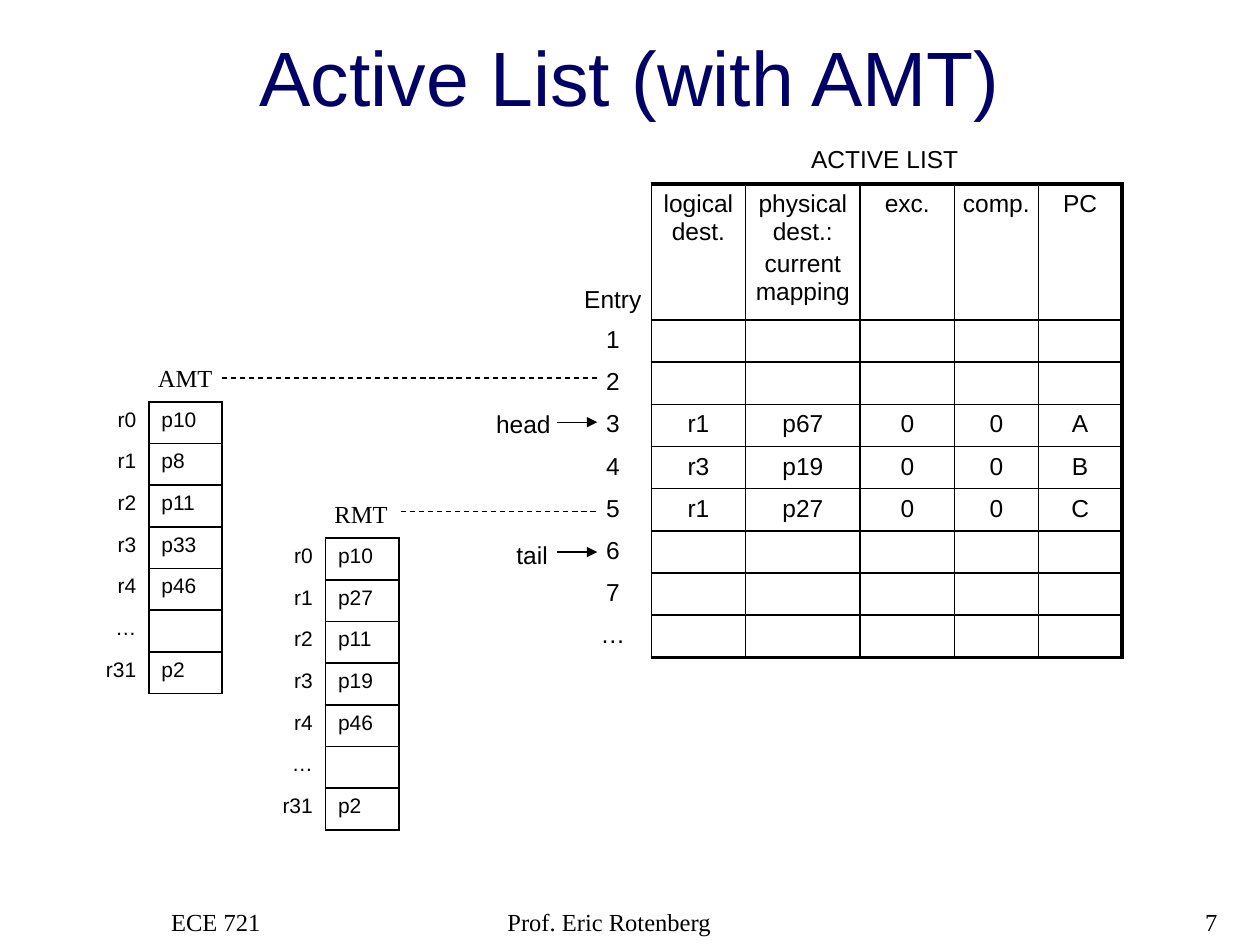
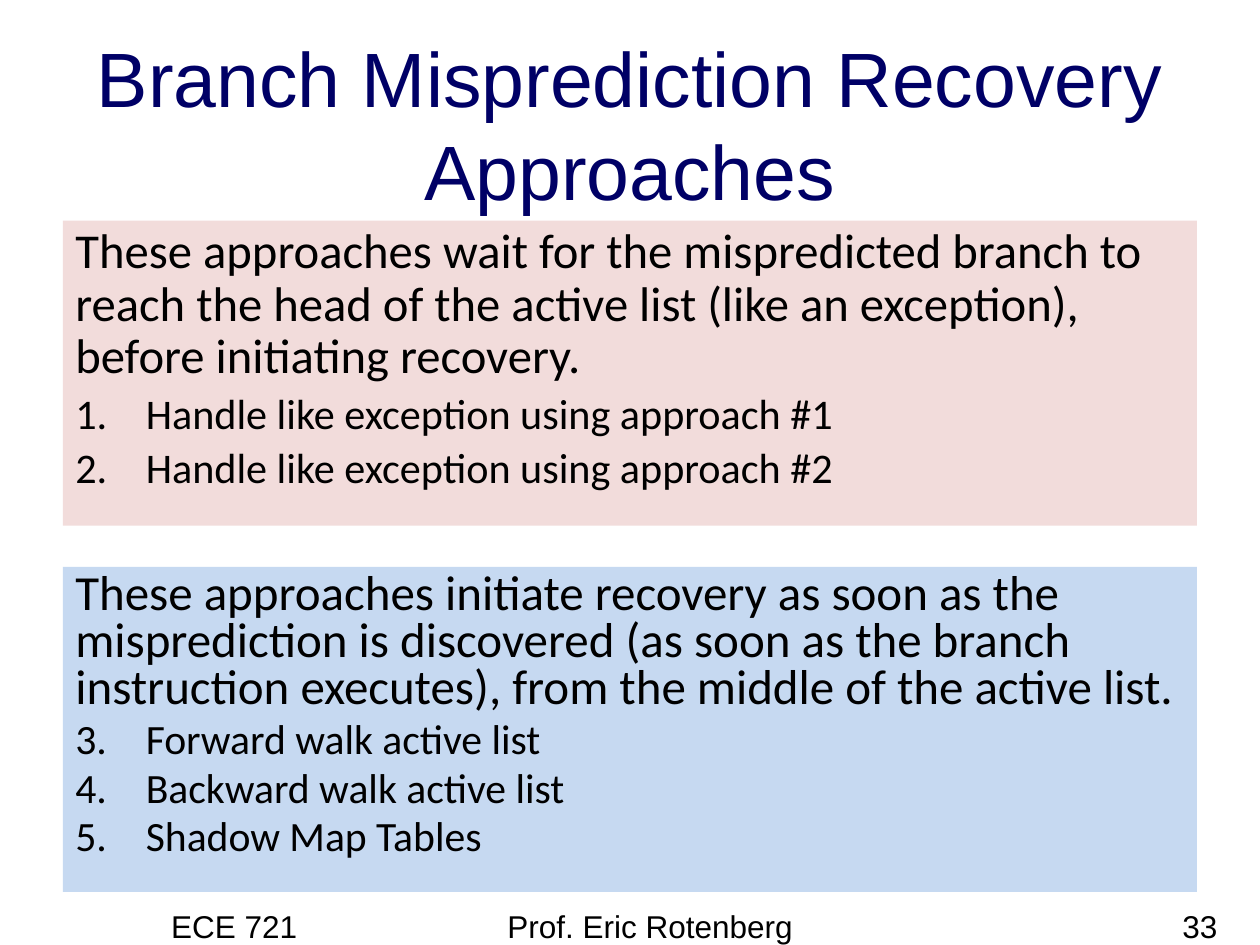
"""Build two lecture slides on active lists and branch misprediction recovery."""
from dataclasses import dataclass

from lxml import etree
from pptx import Presentation
from pptx import util as u
from pptx.dml import color
from pptx.enum import dml, shapes, text
from pptx.oxml import ns

Cm, Pt = u.Cm, u.Pt
Align, Anchor = text.PP_ALIGN, text.MSO_ANCHOR


@dataclass(frozen=True)
class Theme:
    """Colours, fonts and type sizes shared by the slides."""
    ink: str = "000000"
    title: str = "000066"
    late: str = "F2DCDB"
    early: str = "C6D9F1"
    sans: str = "Arial"
    serif: str = "Times New Roman"
    body: str = "Calibri"
    title_size: float = 44
    label_size: float = 14
    map_size: float = 12
    footer_size: float = 18
    thin: float = 1
    thick: float = 2.25
    connector: float = 0.75
    plain_table: str = "{2D5ABB26-0587-4C30-8999-92F81FD0307C}"


class Deck:
    """Hold the theme and current slide, and draw each kind of element."""

    def __init__(self, theme):
        """Start an empty presentation of the right size."""
        self.theme = theme
        self.presentation = Presentation()
        self.presentation.slide_width = Cm(25.4)
        self.presentation.slide_height = Cm(19.05)
        self.slide = None

    def style(self, paragraph, size, font, align=Align.LEFT, ink=None):
        """Set the alignment and font of a paragraph."""
        paragraph.alignment = align
        paragraph.font.size = Pt(size)
        paragraph.font.name = font
        paragraph.font.color.rgb = color.RGBColor.from_string(ink or self.theme.ink)

    def new_slide(self, title, title_height):
        """Add a slide and format its title."""
        layout = self.presentation.slide_layouts[5]
        self.slide = self.presentation.slides.add_slide(layout)
        shape = self.slide.shapes.title
        shape.left, shape.top = Cm(0), Cm(0.46)
        shape.width, shape.height = Cm(25.4), Cm(title_height)
        frame = shape.text_frame
        frame.text = title
        frame.auto_size = text.MSO_AUTO_SIZE.NONE
        frame.vertical_anchor = Anchor.BOTTOM
        self.style(frame.paragraphs[0], self.theme.title_size, self.theme.sans,
                   Align.CENTER, self.theme.title)

    def text_box(self, words, box, size, font, align=Align.LEFT, wrap=True):
        """Add one line of text in a box."""
        shape = self.slide.shapes.add_textbox(*map(Cm, box))
        frame = shape.text_frame
        frame.text = words
        frame.word_wrap = wrap
        if not wrap:
            frame.auto_size = text.MSO_AUTO_SIZE.SHAPE_TO_FIT_TEXT
        self.style(frame.paragraphs[0], size, font, align)

    def label(self, words, box, font=None, align=Align.LEFT):
        """Add a diagram label that does not wrap."""
        self.text_box(words, box, self.theme.label_size, font or self.theme.sans,
                      align, wrap=False)

    def footer(self, number, size, font):
        """Add the course, lecturer and slide number."""
        for words, left, width, align in (
                ("ECE 721", 3.2, 5.28, Align.LEFT),
                ("Prof. Eric Rotenberg", 9.98, 8.05, Align.LEFT),
                (number, 19.51, 5.28, Align.RIGHT)):
            self.text_box(words, (left, 18.16, width, 1.27), size, font, align)

    def line(self, start, end, y, arrow=False):
        """Add a horizontal line, either an arrow or dashed."""
        connector = self.slide.shapes.add_connector(
            shapes.MSO_CONNECTOR.STRAIGHT, Cm(start), Cm(y), Cm(end), Cm(y))
        connector.line.color.rgb = color.RGBColor.from_string(self.theme.ink)
        connector.line.width = Pt(self.theme.connector)
        if arrow:
            outline = connector.line._get_or_add_ln()
            etree.SubElement(outline, ns.qn("a:tailEnd"), type="triangle")
        else:
            connector.line.dash_style = dml.MSO_LINE.DASH
        etree.SubElement(connector._element.spPr, ns.qn("a:effectLst"))

    def border(self, cell, widths):
        """Draw the given sides (L, R, T, B) of a cell."""
        properties = cell._tc.get_or_add_tcPr()
        for side, width in widths.items():
            edge = etree.SubElement(properties, ns.qn("a:ln" + side), w=str(Pt(width)))
            fill = etree.SubElement(edge, ns.qn("a:solidFill"))
            etree.SubElement(fill, ns.qn("a:srgbClr"), val=self.theme.ink)

    def table(self, rows, corner, widths, heights, size, aligns, outer, margin=None):
        """Add a ruled table whose first column holds unruled row labels."""
        frame = self.slide.shapes.add_table(
            len(rows), len(widths), *map(Cm, (*corner, sum(widths), sum(heights))))
        table = frame.table
        table._tbl.tblPr[0].text = self.theme.plain_table
        table.first_row = table.horz_banding = False
        for column, width in zip(table.columns, widths):
            column.width = Cm(width)
        for row, height in zip(table.rows, heights):
            row.height = Cm(height)
        thin = self.theme.thin
        last_row, last_column = len(rows) - 1, len(widths) - 1
        for r, values in enumerate(rows):
            for c, value in enumerate(values):
                cell = table.cell(r, c)
                cell.text = value
                if margin is not None:
                    cell.margin_left = cell.margin_right = Cm(margin)
                self.border(cell, {"R": thin} if c == 0 else {
                    "L": thin,
                    "R": outer if c == last_column else thin,
                    "T": outer if r == 0 else thin,
                    "B": outer if r == last_row else thin})
                cell.fill.background()
                for index, paragraph in enumerate(cell.text_frame.paragraphs):
                    if index:
                        paragraph.space_before = Pt(0.2 * size)
                    self.style(paragraph, size, self.theme.sans, aligns[c])
                    if not value:
                        paragraph._p.get_or_add_endParaRPr().set("sz", str(size * 100))
        return table

    def map_table(self, name, name_box, registers, corner):
        """Add a named table that maps logical to physical registers."""
        logical = ("r0", "r1", "r2", "r3", "r4", "…", "r31")
        self.table(list(zip(logical, registers)), corner, [1.48] * 2, [0.84] * 7,
                   self.theme.map_size, (Align.RIGHT, Align.LEFT), self.theme.thin)
        self.label(name, name_box, self.theme.serif, Align.CENTER)

    def panel(self, box, fill, lead, items, first, sizes, spacing):
        """Add a filled panel with a lead sentence and a numbered list."""
        shape = self.slide.shapes.add_shape(
            shapes.MSO_SHAPE.RECTANGLE, *map(Cm, box))
        shape.shadow.inherit = False
        shape.fill.solid()
        shape.fill.fore_color.rgb = color.RGBColor.from_string(fill)
        shape.line.fill.background()
        frame = shape.text_frame
        frame.word_wrap = True
        frame.vertical_anchor = Anchor.TOP
        frame.text = "\n".join((lead, *items))
        for index, paragraph in enumerate(frame.paragraphs):
            size = sizes[min(index, 1)]
            paragraph.line_spacing = spacing
            if index:
                paragraph.space_before = Pt(round(0.2 * size, 1))
                properties = paragraph._p.get_or_add_pPr()
                properties.set("marL", str(Cm(1.42)))
                properties.set("indent", str(-Cm(1.42)))
                etree.SubElement(properties, ns.qn("a:buAutoNum"),
                                 type="arabicPeriod", startAt=str(first))
            self.style(paragraph, size, self.theme.body)


def active_list_slide(deck):
    """Draw the active list beside its two map tables."""
    theme = deck.theme
    deck.new_slide("Active List (with AMT)", 2.13)
    deck.footer("7", theme.label_size, theme.serif)
    header = ("Entry", "logical dest.", "physical dest.:\ncurrent mapping",
              "exc.", "comp.", "PC")
    instructions = {"3": ("r1", "p67", "0", "0", "A"),
                    "4": ("r3", "p19", "0", "0", "B"),
                    "5": ("r1", "p27", "0", "0", "C")}
    entries = [(entry, *instructions.get(entry, [""] * 5)) for entry in "1234567…"]
    table = deck.table([header, *entries], (11.58, 3.71),
                       (1.55, 1.9, 2.31, 1.9, 1.69, 1.69), [2.74] + [0.85] * 8,
                       theme.label_size, [Align.CENTER] * 6, theme.thick, 0.13)
    table.cell(0, 0).vertical_anchor = Anchor.BOTTOM
    deck.label("ACTIVE LIST", (16.1, 2.77, 3.53, 0.84))
    deck.label("head", (9.75, 8.13, 1.68, 0.86))
    deck.label("tail", (10.16, 10.77, 1.14, 0.86))
    deck.map_table("AMT", (2.92, 7.19, 1.63, 0.86),
                   ("p10", "p8", "p11", "p33", "p46", "", "p2"), (1.52, 8.1))
    deck.map_table("RMT", (6.48, 9.93, 1.6, 0.86),
                   ("p10", "p27", "p11", "p19", "p46", "", "p2"), (5.08, 10.85))
    entry_edge = 12.04
    for y in (8.51, 11.13):
        deck.line(11.23, entry_edge, y, arrow=True)
    for start, y in ((4.47, 7.62), (8.08, 10.31)):
        deck.line(start, entry_edge, y)


def recovery_slide(deck):
    """List the late and early recovery approaches."""
    theme = deck.theme
    deck.new_slide("Branch Misprediction Recovery Approaches", 4.01)
    deck.footer("33", theme.footer_size, theme.sans)
    deck.panel((1.27, 4.45, 22.86, 6.15), theme.late,
               "These approaches wait for the mispredicted branch to reach the head of "
               "the active list (like an exception), before initiating recovery.",
               ("Handle like exception using approach #1",
                "Handle like exception using approach #2"),
               1, (27.8, 24.1), 0.9)
    deck.panel((1.27, 11.43, 22.86, 6.55), theme.early,
               "These approaches initiate recovery as soon as the misprediction is "
               "discovered (as soon as the branch instruction executes), from the "
               "middle of the active list.",
               ("Forward walk active list", "Backward walk active list",
                "Shadow Map Tables"),
               3, (28, 23.8), 0.8)


def main():
    """Build the slides and save them."""
    deck = Deck(Theme())
    active_list_slide(deck)
    recovery_slide(deck)
    deck.presentation.save("out.pptx")


if __name__ == "__main__":
    main()
